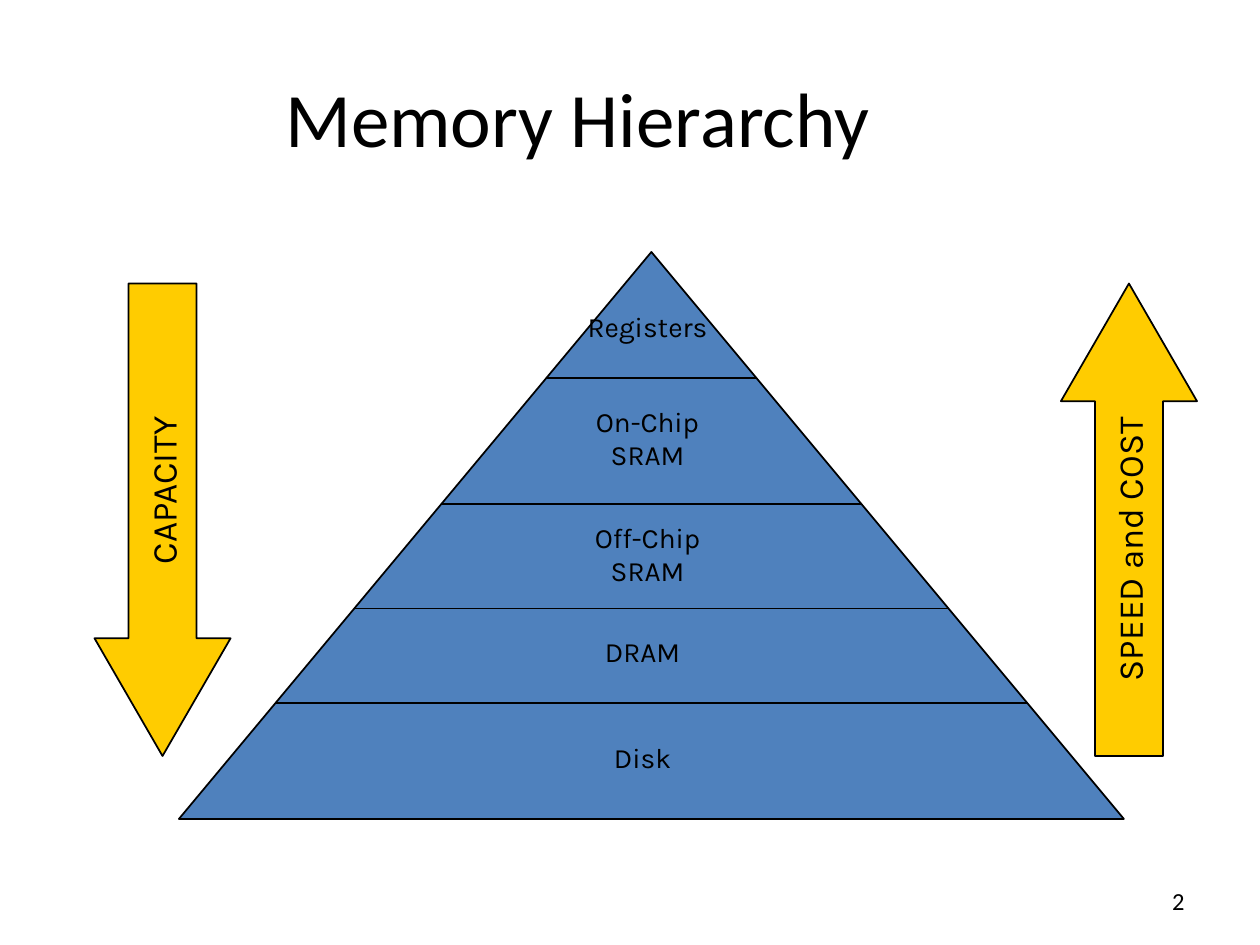
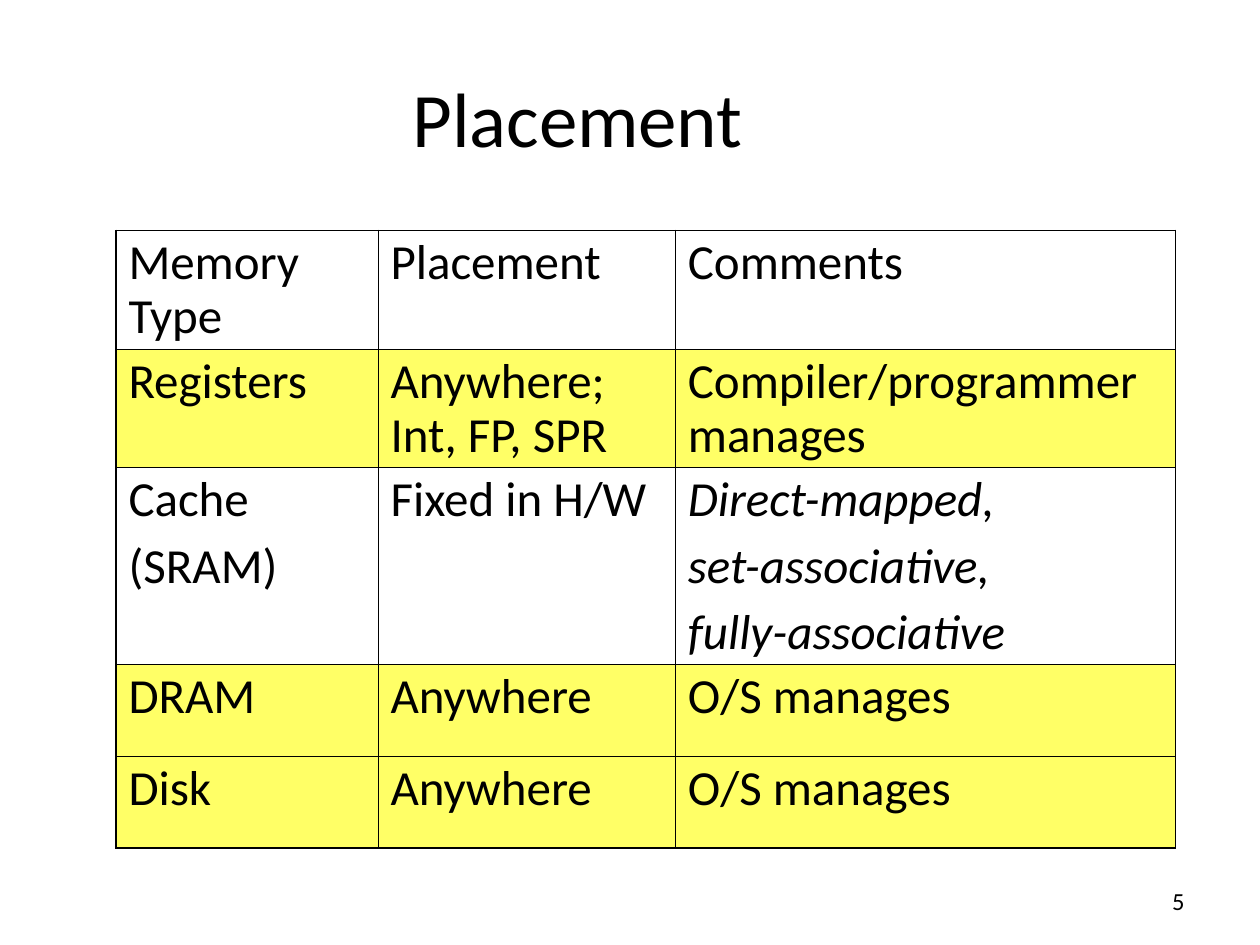
import lxml.etree
import pptx
import pptx.dml.color
import pptx.enum.shapes
import pptx.enum.text
import pptx.oxml.ns
import pptx.util

Inches = pptx.util.Inches
Pt = pptx.util.Pt
SHAPE = pptx.enum.shapes.MSO_SHAPE
ALIGN = pptx.enum.text.PP_ALIGN
MIDDLE = pptx.enum.text.MSO_ANCHOR.MIDDLE

BLACK, BLUE, GOLD, YELLOW = "000000", "4F81BD", "FFCC00", "FFFF66"
TITLE = {"name": "Calibri", "size": Pt(44)}
NUMBER = {"name": "Calibri", "size": Pt(14)}
LABEL = {"name": "Karla", "size": Pt(16)}
ARROW = {"name": "Karla", "size": Pt(20)}
CELL = {"name": "Calibri", "size": Pt(28)}
THICK, THIN = 1.08, 0.45

APEX, TOP, HALF, HEIGHT = 5.17, 2, 3.75, 4.5
CUTS = [3, 4, 4.83, 5.58]
LEVELS = [
    ("Registers", 5.14, 2.41, 0.37),
    ("On-Chip\nSRAM", 5.14, 3.16, 0.64),
    ("Off-Chip\nSRAM", 5.14, 4.08, 0.64),
    ("DRAM", 5.1, 4.99, 0.37),
    ("Disk", 5.1, 5.83, 0.37),
]

COLS = [2.08, 2.36, 3.97]
ROWS = [
    (0.94, None, ["Memory Type", "Placement", "Comments"]),
    (0.94, YELLOW, ["Registers", "Anywhere; Int, FP, SPR",
                    "Compiler/programmer manages"]),
    (1.56, None, ["Cache\n(SRAM)", "Fixed in H/W",
                  "Direct-mapped,\nset-associative,\nfully-associative"]),
    (0.73, YELLOW, ["DRAM", "Anywhere", "O/S manages"]),
    (0.73, YELLOW, ["Disk", "Anywhere", "O/S manages"]),
]
ITALIC = (2, 2)


def color(code):
    """Turn a hex string into a colour."""
    return pptx.dml.color.RGBColor.from_string(code)


def write(frame, text, style, align, line=None, gap=0):
    """Fill a text frame with one paragraph per line of text."""
    frame.text = text
    for i, para in enumerate(frame.paragraphs):
        para.alignment = align
        if line:
            para.line_spacing = line
        if i and gap:
            para.space_before = Pt(gap)
        for key, value in style.items():
            setattr(para.font, key, value)
        para.font.color.rgb = color(BLACK)


def add_text(slide, text, box, style, align, wrap=True):
    """Add a text box and return its frame."""
    frame = slide.shapes.add_textbox(*map(Inches, box)).text_frame
    frame.word_wrap = wrap
    write(frame, text, style, align)
    return frame


def add_slide(deck, title, number):
    """Add a slide with its title and slide number."""
    slide = deck.slides.add_slide(deck.slide_layouts[5])
    head = slide.shapes.title
    head.left, head.top, head.width, head.height = map(
        Inches, (0.5, 0.3, 8.17, 1.25))
    head.text_frame.vertical_anchor = MIDDLE
    write(head.text_frame, title, TITLE, ALIGN.CENTER)
    foot = add_text(slide, str(number), (8.33, 6.95, 1.17, 0.4),
                    NUMBER, ALIGN.RIGHT)
    foot.vertical_anchor = MIDDLE
    return slide


def add_shape(slide, kind, box, fill):
    """Add a filled shape with a thin black outline."""
    shape = slide.shapes.add_shape(kind, *map(Inches, box))
    shape.shadow.inherit = False
    shape.fill.solid()
    shape.fill.fore_color.rgb = color(fill)
    shape.line.color.rgb = color(BLACK)
    shape.line.width = Pt(1)
    return shape


def add_cut(slide, y):
    """Draw a level line across the pyramid at height y."""
    reach = HALF * (y - TOP) / HEIGHT
    ends = (APEX - reach, y, APEX + reach, y)
    line = slide.shapes.add_connector(
        pptx.enum.shapes.MSO_CONNECTOR.STRAIGHT, *map(Inches, ends))
    line.line.color.rgb = color(BLACK)
    line.line.width = Pt(1)
    lxml.etree.SubElement(line._element.spPr,
                          pptx.oxml.ns.qn("a:effectLst"))


def add_arrow(slide, kind, left, text):
    """Add a block arrow whose text reads upward."""
    shape = add_shape(slide, kind, (left, 2.25, 1.08, 3.75), GOLD)
    shape.adjustments[0] = 0.5
    shape.adjustments[1] = 0.865
    frame = shape.text_frame
    frame.word_wrap = False
    frame.vertical_anchor = MIDDLE
    frame._txBody.bodyPr.set("vert", "vert270")
    write(frame, text, ARROW, ALIGN.CENTER)


def add_edges(cell, widths):
    """Set the cell borders from widths in points."""
    props = cell._tc.get_or_add_tcPr()
    qn = pptx.oxml.ns.qn
    for side, width in widths.items():
        edge = lxml.etree.SubElement(props, qn("a:ln" + side),
                                     w=str(Pt(width)))
        fill = lxml.etree.SubElement(edge, qn("a:solidFill"))
        lxml.etree.SubElement(fill, qn("a:srgbClr"), val=BLACK)


def add_grid(slide):
    """Add the placement table with a heavier outer frame."""
    size = (sum(COLS), sum(row[0] for row in ROWS))
    table = slide.shapes.add_table(
        len(ROWS), len(COLS), *map(Inches, (0.92, 1.83, *size))).table
    table.first_row = table.horz_banding = False
    for col, width in zip(table.columns, COLS):
        col.width = Inches(width)
    for r, (height, fill, texts) in enumerate(ROWS):
        table.rows[r].height = Inches(height)
        for c, text in enumerate(texts):
            cell = table.cell(r, c)
            style = {**CELL, "italic": (r, c) == ITALIC}
            write(cell.text_frame, text, style, ALIGN.LEFT, 0.9, 7)
            outer = {"L": c == 0, "R": c == len(COLS) - 1,
                     "T": r == 0, "B": r == len(ROWS) - 1}
            add_edges(cell, {side: THICK if out else THIN
                             for side, out in outer.items()})
            if fill:
                cell.fill.solid()
                cell.fill.fore_color.rgb = color(fill)
            else:
                cell.fill.background()


def add_tower(slide):
    """Draw the memory pyramid with its levels and labels."""
    add_shape(slide, SHAPE.ISOSCELES_TRIANGLE,
              (APEX - HALF, TOP, 2 * HALF, HEIGHT), BLUE)
    for y in CUTS:
        add_cut(slide, y)
    for text, mid, top, height in LEVELS:
        add_text(slide, text, (mid - 0.58, top, 1.16, height),
                 LABEL, ALIGN.CENTER, False)


def main():
    """Build and save the deck."""
    deck = pptx.Presentation()
    deck.slide_width, deck.slide_height = Inches(10), Inches(7.5)
    slide = add_slide(deck, "Memory Hierarchy", 2)
    add_tower(slide)
    add_arrow(slide, SHAPE.DOWN_ARROW, 0.75, "CAPACITY")
    add_arrow(slide, SHAPE.UP_ARROW, 8.42, "SPEED and COST")
    add_grid(add_slide(deck, "Placement", 5))
    deck.save("out.pptx")


if __name__ == "__main__":
    main()
